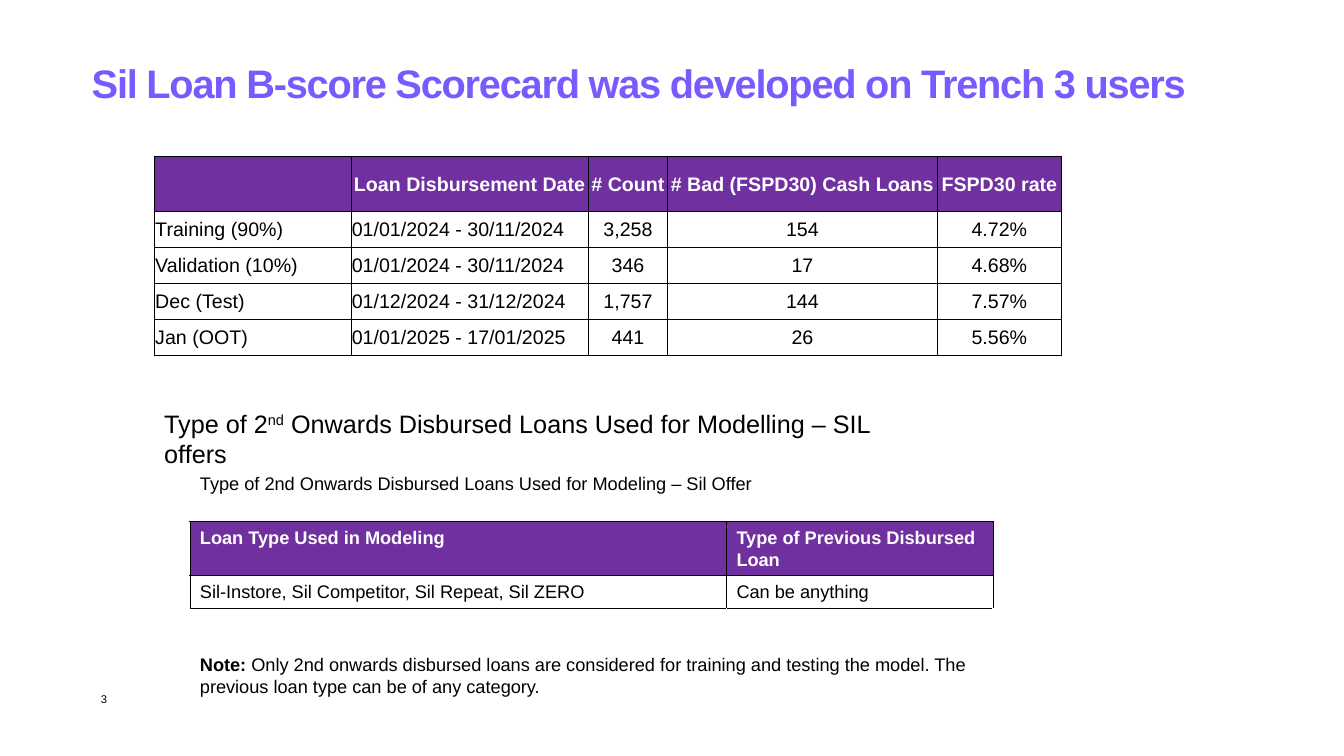
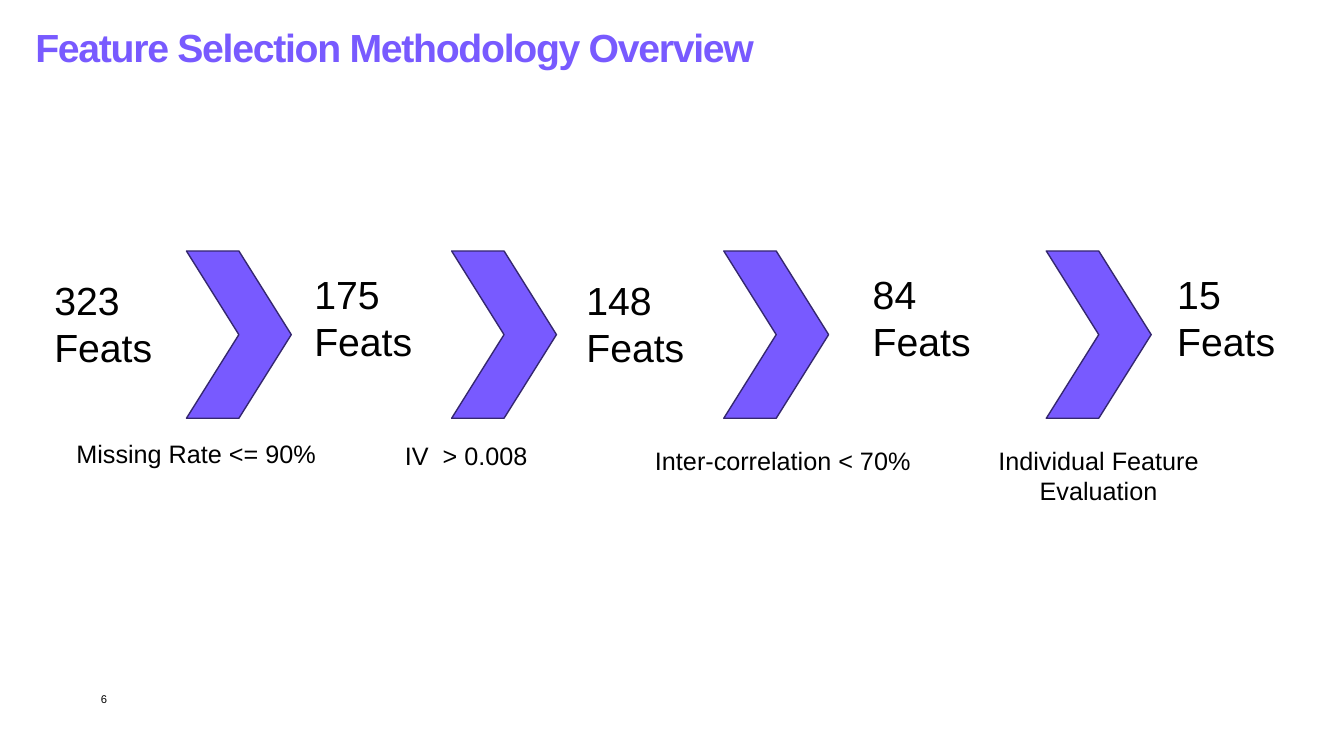
from lxml import etree
from pptx import Presentation
from pptx.dml.color import RGBColor
from pptx.enum.shapes import MSO_SHAPE
from pptx.enum.text import MSO_ANCHOR, MSO_AUTO_SIZE, PP_ALIGN
from pptx.oxml.ns import qn
from pptx.util import Pt

LEFT, CENTER = PP_ALIGN.LEFT, PP_ALIGN.CENTER
TOP, MIDDLE = MSO_ANCHOR.TOP, MSO_ANCHOR.MIDDLE
NO_FIT = MSO_AUTO_SIZE.NONE
CHEVRON = MSO_SHAPE.CHEVRON

# Shared style
FONT = "Arial"
VIOLET, PURPLE, INDIGO = "785AFF", "7030A0", "352770"
BLACK, WHITE = "000000", "FFFFFF"
INSET = (7.2, 3.6, 7.2, 3.6)

# Content of the scorecard slide
SCORE = "Sil Loan B-score Scorecard was developed on Trench 3 users"
SAMPLES = [
    ("", "Loan Disbursement Date", "# Count", "# Bad (FSPD30) Cash Loans",
     "FSPD30 rate"),
    ("Training (90%)", "01/01/2024 - 30/11/2024", "3,258", "154", "4.72%"),
    ("Validation (10%)", "01/01/2024 - 30/11/2024", "346", "17", "4.68%"),
    ("Dec (Test)", "01/12/2024 - 31/12/2024", "1,757", "144", "7.57%"),
    ("Jan (OOT)", "01/01/2025 - 17/01/2025", "441", "26", "5.56%"),
]
HEADING = ["Type of 2", "nd",
           " Onwards Disbursed Loans Used for Modelling – SIL offers"]
LOANS = [
    ("Type of 2nd Onwards Disbursed Loans Used for Modeling – Sil Offer",),
    ("Loan Type Used in Modeling", "Type of Previous Disbursed Loan"),
    ("Sil-Instore, Sil Competitor, Sil Repeat, Sil ZERO", "Can be anything"),
    ("", ""),
    ("Note:", " Only 2nd onwards disbursed loans are considered for training "
              "and testing the model. The previous loan type can be of "
              "any category."),
]

# Content of the feature slide
METHOD = "Feature Selection Methodology Overview"
COUNTS = [("323", 31.7, 193.7), ("175", 217.4, 189.4), ("148", 411.8, 193.7),
          ("84", 616.3, 189.4), ("15", 833.8, 189.4)]
CHEVRONS = [133.2, 322.6, 517, 747.4]
RULES = [("Missing Rate <= 90%", 47.5, 309.6, 196, LEFT),
         ("IV  > 0.008", 282.2, 311, 210, LEFT),
         ("Inter-correlation < 70%", 460.8, 314.6, 233, LEFT),
         ("Individual Feature Evaluation", 661.7, 314.6, 246, CENTER)]


def rgb(code):
    return RGBColor.from_string(code)


def style(run, size, color=BLACK, bold=False):
    font = run.font
    font.name, font.size, font.bold = FONT, Pt(size), bold
    font.color.rgb = rgb(color)


def pad(part, sides):
    part.margin_left, part.margin_top, part.margin_right, part.margin_bottom = (
        Pt(side) for side in sides)


def write(slide, lines, box, size, align=LEFT, inset=INSET):
    frame = slide.shapes.add_textbox(*map(Pt, box)).text_frame
    frame.word_wrap = True
    pad(frame, inset)
    frame.text = lines
    for para in frame.paragraphs:
        para.alignment = align
        for run in para.runs:
            style(run, size)
    return frame


def start(deck, title, box, size, inset, number):
    slide = deck.slides.add_slide(deck.slide_layouts[5])
    head = slide.shapes.title
    head.left, head.top, head.width, head.height = map(Pt, box)
    frame = head.text_frame
    frame.text = title
    frame.auto_size, frame.word_wrap = NO_FIT, True
    frame.vertical_anchor = TOP
    pad(frame, inset)
    para = frame.paragraphs[0]
    para.alignment, para.line_spacing = LEFT, 1.1
    run = para.runs[0]
    style(run, size, VIOLET, True)
    run.font._element.set("spc", "-90")
    write(slide, number, (72, 494.6, 210, 18), 8, inset=(0, 0, 0, 0))
    return slide


def edge(cell, sides, width):
    """Draw black lines on the sides named by L, R, T and B."""
    props = cell._tc.get_or_add_tcPr()
    for spot, side in enumerate(sides):
        line = etree.Element(qn("a:ln" + side), w=str(Pt(width)))
        fill = etree.SubElement(line, qn("a:solidFill"))
        etree.SubElement(fill, qn("a:srgbClr"), val=BLACK)
        props.insert(spot, line)


def grid(slide, left, top, cols, rows):
    shape = slide.shapes.add_table(len(rows), len(cols), Pt(left), Pt(top),
                                   Pt(sum(cols)), Pt(sum(rows)))
    table = shape.table
    for col, width in zip(table.columns, cols):
        col.width = Pt(width)
    for row, height in zip(table.rows, rows):
        row.height = Pt(height)
    return table


def paint(cell, head):
    if head:
        cell.fill.solid()
        cell.fill.fore_color.rgb = rgb(PURPLE)
    else:
        cell.fill.background()


def samples(slide):
    table = grid(slide, 110.2, 111.6, [140.4, 169.9, 56.2, 193, 88.5],
                 [39.3] + [25.8] * 4)
    for r, row in enumerate(SAMPLES):
        for c, text in enumerate(row):
            cell, head = table.cell(r, c), r == 0
            cell.text = text
            cell.vertical_anchor = MIDDLE
            pad(cell, (0.7, 0.7, 0.7, 0))
            paint(cell, head)
            edge(cell, "LRTB", 0.5)
            para = cell.text_frame.paragraphs[0]
            para.alignment = CENTER if head or c > 1 else LEFT
            for run in para.runs:
                style(run, 14, WHITE if head else BLACK, head)


def loans(slide):
    table = grid(slide, 135.6, 333.4, [383.3, 190.4], [38.9, 38.9, 23, 29, 46])
    last = len(LOANS) - 1
    sides = {0: "B", 1: "LRTB", 2: "LRTB", 3: "T"}
    for r, row in enumerate(LOANS):
        for c in range(2):
            cell = table.cell(r, c)
            paint(cell, r == 1)
            edge(cell, sides.get(r, ""), 0.6)
            if r not in (0, last) and row[c]:
                cell.text = row[c]
        if r in (0, last):
            table.cell(r, 0).merge(table.cell(r, 1))
            para = table.cell(r, 0).text_frame.paragraphs[0]
            for text in row:
                para.add_run().text = text
        for c in range(2):
            para = table.cell(r, c).text_frame.paragraphs[0]
            if para.runs:
                para.line_spacing = Pt(15.8)
            for spot, run in enumerate(para.runs):
                bold = r == 1 or (r == last and spot == 0)
                style(run, 13, WHITE if r == 1 else BLACK, bold)


def score(deck):
    slide = start(deck, SCORE, (65.5, 38.2, 816.5, 38.2), 28.4,
                  (0, 0, 0, 0), "3")
    samples(slide)
    frame = write(slide, "", (110.2, 288, 519, 50), 18)
    for text in HEADING:
        run = frame.paragraphs[0].add_run()
        run.text = text
        style(run, 18)
        if text == "nd":
            run.font._element.set("baseline", "30000")
    loans(slide)


def method(deck):
    slide = start(deck, METHOD, (25.2, 5.8, 898.6, 66.2), 28,
                  (0, 7.2, 0, 7.2), "6")
    for left in CHEVRONS:
        shape = slide.shapes.add_shape(CHEVRON, Pt(left), Pt(179.3),
                                       Pt(74.9), Pt(119.5))
        shape.shadow.inherit = False
        shape.fill.solid()
        shape.fill.fore_color.rgb = rgb(VIOLET)
        shape.line.color.rgb = rgb(INDIGO)
        shape.line.width = Pt(1)
    for count, left, top in COUNTS:
        write(slide, count + "\nFeats", (left, top, 114.5, 75), 28)
    for text, left, top, width, align in RULES:
        write(slide, text, (left, top, width, 29), 18, align)


def main():
    deck = Presentation()
    deck.slide_width, deck.slide_height = Pt(960), Pt(540)
    score(deck)
    method(deck)
    deck.save("out.pptx")


if __name__ == "__main__":
    main()
